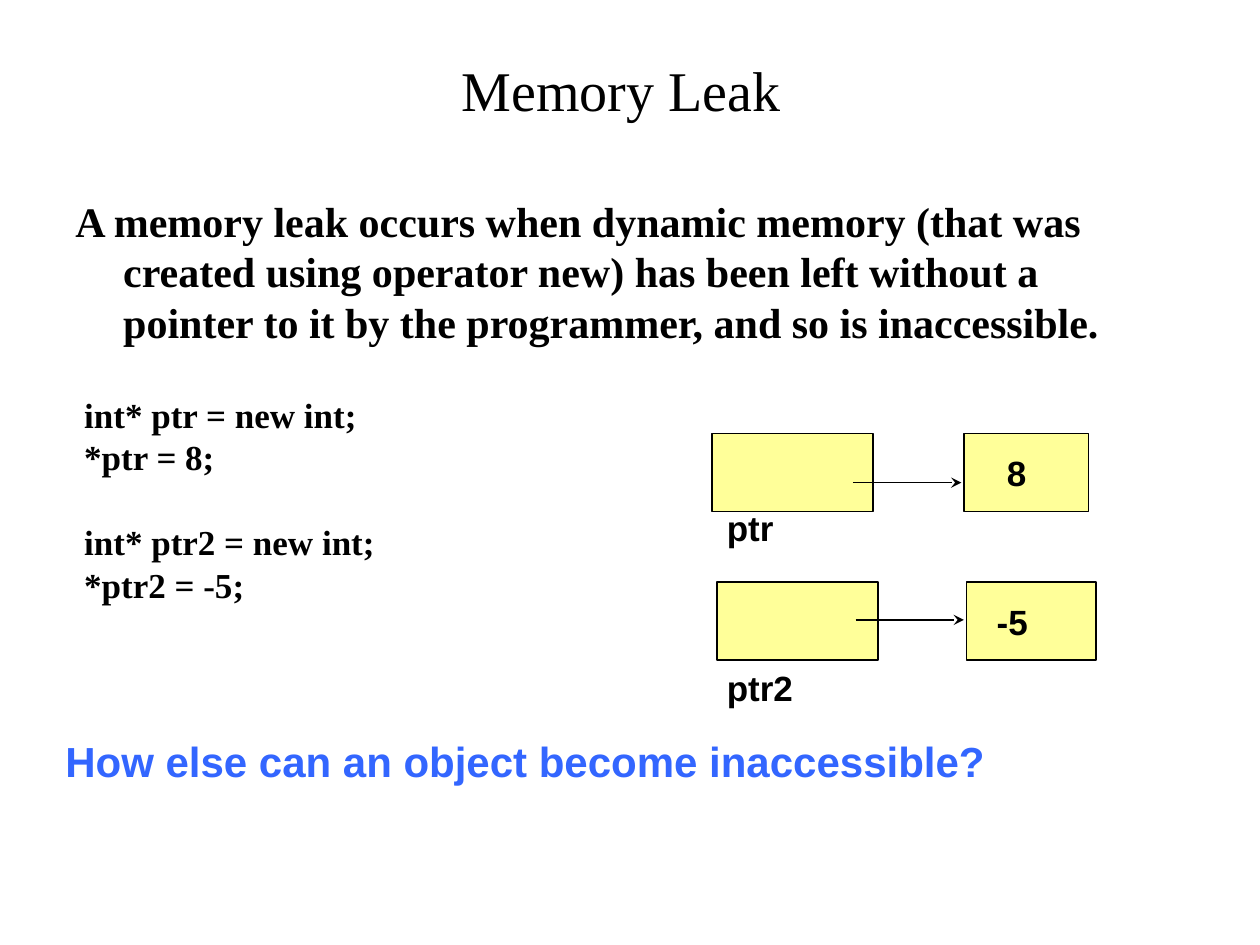
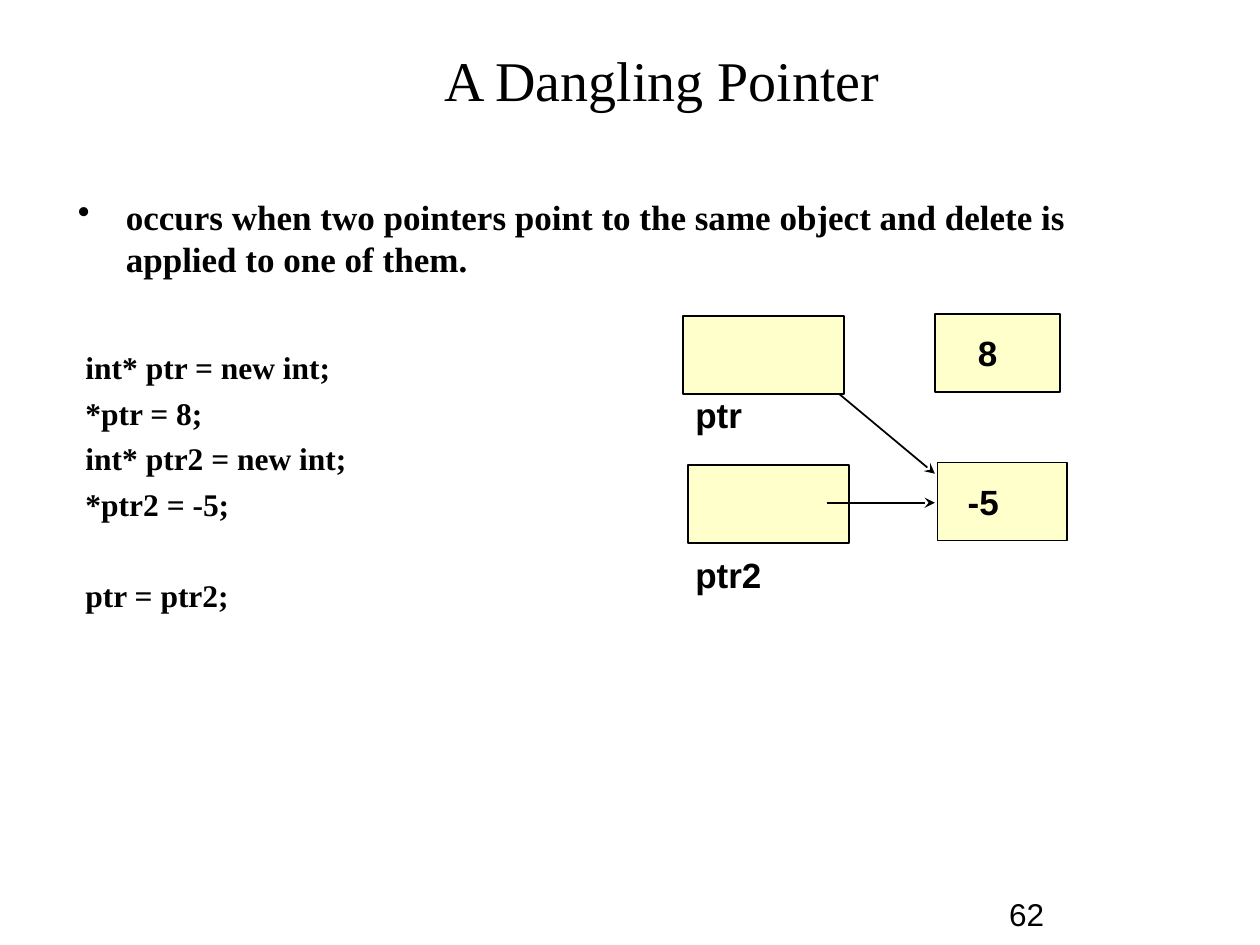
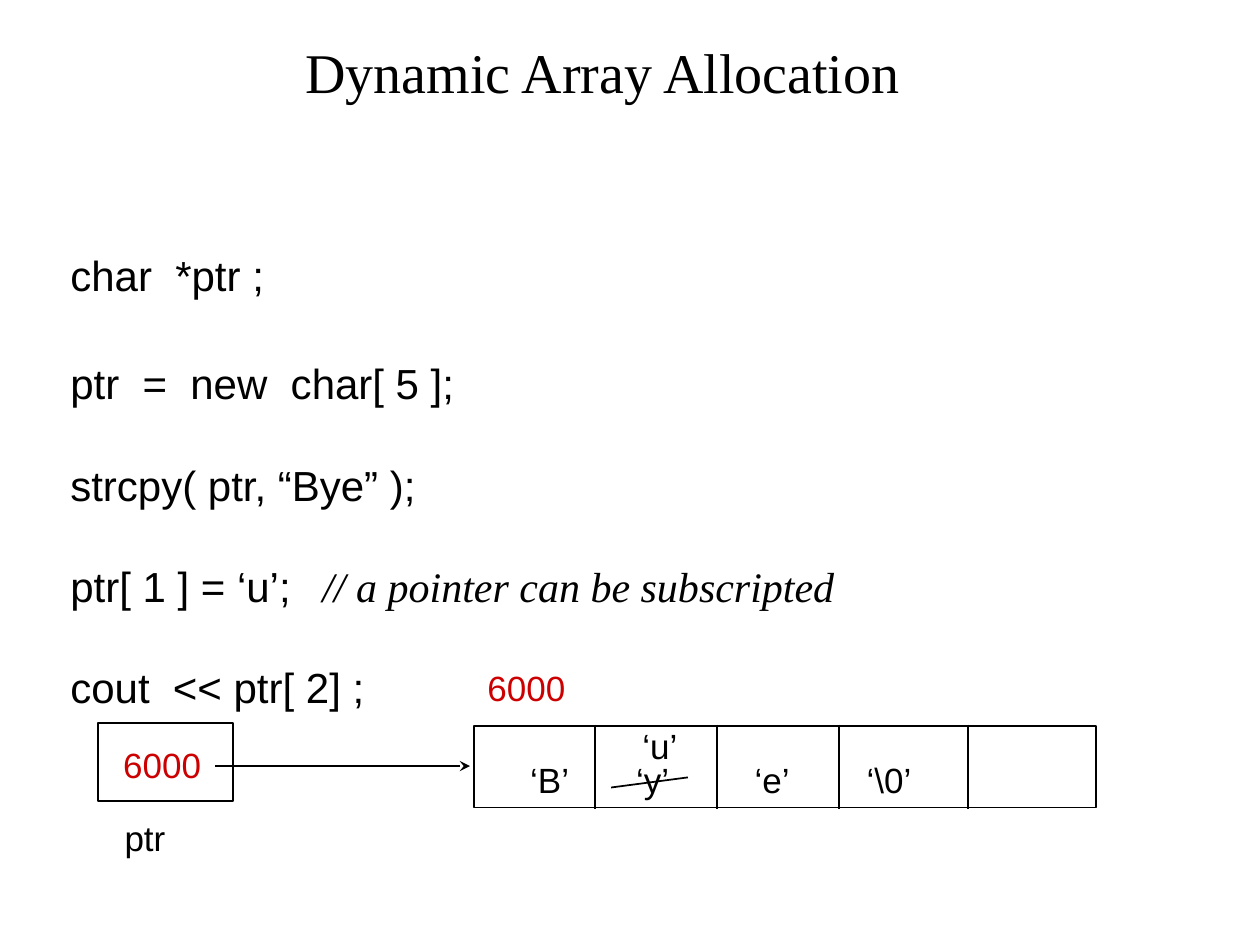
from typing import NamedTuple

from lxml.etree import SubElement as Sub
from pptx import Presentation
from pptx.dml.color import RGBColor as Rgb
from pptx.enum.shapes import MSO_CONNECTOR as Wire, MSO_SHAPE as Kind
from pptx.enum.text import MSO_ANCHOR as Anchor, PP_ALIGN as Align
from pptx.oxml.ns import qn
from pptx.util import Inches, Pt

WIDE, HIGH = Inches(10), Inches(7.5)
COL, ROW = WIDE / 100, HIGH / 75
HANG = Inches(0.38)
COLORS = {"ink": "000000", "ask": "3366FF", "addr": "CC0000",
          "gold": "FFFF99", "pale": "FFFFCC"}
SERIF, SANS = "Times New Roman", "Arial"


class Area(NamedTuple):
    """A place on the slide, in columns and rows."""
    x: float
    y: float
    w: float
    h: float


class Style(NamedTuple):
    size: float
    face: str = SANS
    bold: bool = False
    color: str = "ink"


class Para(NamedTuple):
    text: str
    style: Style
    gap: float = 0
    lead: float = 1
    left: int = 0
    first: int = 0
    mark: str = ""
    tab: int = 0
    note: str = ""


class Label(NamedTuple):
    text: str
    x: float
    y: float
    color: str = "ink"


class Plan(NamedTuple):
    """Places of the two pointers, their names and their targets."""
    x: float
    y: float
    lift: float
    name_x: float
    name_y: float
    fill: str


TITLE = Style(32, SERIF)
NAME = Style(20, bold=True)
PLAIN = Style(20)
CODE = Style(24)


def rgb(key: str) -> Rgb:
    return Rgb.from_string(COLORS[key])


def place(area: Area) -> tuple:
    return (round(area.x * COL), round(area.y * ROW),
            round(area.w * COL), round(area.h * ROW))


def dress(font, style: Style) -> None:
    font.size, font.name, font.bold = Pt(style.size), style.face, style.bold
    font.color.rgb = rgb(style.color)


def fill_para(para, item: Para) -> None:
    para.text = item.text
    props = para._p.get_or_add_pPr()
    props.set("marL", str(item.left))
    props.set("indent", str(item.first))
    if item.mark:
        Sub(props, qn("a:buChar"), char=item.mark)
    if item.tab:
        Sub(Sub(props, qn("a:tabLst")), qn("a:tab"), pos=str(item.tab), algn="l")
    if item.gap:
        para.space_before = Pt(item.gap)
    if item.lead != 1:
        para.line_spacing = item.lead
    dress(para.font, item.style)
    if item.note:
        run = para.add_run()
        run.text = item.note
        run.font.name, run.font.italic = SERIF, True


def write(slide, area: Area, *items: Para, align=Align.LEFT, anchor=Anchor.TOP) -> None:
    frame = slide.shapes.add_textbox(*place(area)).text_frame
    frame.word_wrap, frame.vertical_anchor = True, anchor
    for num, item in enumerate(items):
        para = frame.add_paragraph() if num else frame.paragraphs[0]
        para.alignment = align
        fill_para(para, item)


def head(slide, text: str, area: Area) -> None:
    write(slide, area, Para(text, TITLE), align=Align.CENTER, anchor=Anchor.MIDDLE)


def tag(slide, label: Label, style: Style = PLAIN) -> None:
    write(slide, Area(label.x, label.y, 12, 4.3),
          Para(label.text, style._replace(color=label.color)))


def box(slide, area: Area, fill: str = "", text: str = "", inset: float = 1) -> None:
    shape = slide.shapes.add_shape(Kind.RECTANGLE, *place(area))
    shape.shadow.inherit = False
    if fill:
        shape.fill.solid()
        shape.fill.fore_color.rgb = rgb(fill)
    else:
        shape.fill.background()
    shape.line.color.rgb, shape.line.width = rgb("ink"), Pt(1)
    if text:
        frame = shape.text_frame
        frame.margin_left = round(inset * COL)
        frame.vertical_anchor = Anchor.MIDDLE
        frame.paragraphs[0].alignment = Align.LEFT
        fill_para(frame.paragraphs[0], Para(text, NAME))


def line(slide, x: float, y: float, to_x: float, to_y: float, arrow: bool = False) -> None:
    wire = slide.shapes.add_connector(
        Wire.STRAIGHT, round(x * COL), round(y * ROW), round(to_x * COL), round(to_y * ROW))
    wire.line.color.rgb, wire.line.width = rgb("ink"), Pt(1)
    if arrow:
        Sub(wire.line._get_or_add_ln(), qn("a:tailEnd"), type="stealth")
    Sub(wire._element.spPr, qn("a:effectLst"))


def draw_heap(slide, plan: Plan) -> None:
    """Draw two named pointer boxes and the values beside them."""
    rows = (("ptr", "8", 0, 0, 9.9, 3.4), ("ptr2", "-5", 0.4, 0.2, 10.3, 2.4))
    for num, (name, value, shift, push, width, inset) in enumerate(rows):
        top = plan.y + 11.8 * num
        box(slide, Area(plan.x + shift, top, 12.8, 6.2), plan.fill)
        box(slide, Area(plan.x + 20 + push, top - plan.lift, width, 6.2),
            plan.fill, value, inset)
        tag(slide, Label(name, plan.name_x, plan.name_y + 12.7 * num), NAME)


def code(lines: tuple, style: Style, lead: float = 1, left: int = 0) -> list:
    return [Para(text, style, gap, lead, left) for text, gap in lines]


def show_leak(slide) -> None:
    head(slide, "Memory Leak", Area(14.2, 3.3, 70.2, 7.5))
    lines = (("int* ptr = new int;", 31.6), ("*ptr = 8;", 5),
             ("int* ptr2 = new int;", 29.2), ("*ptr2 = -5;", 5))
    write(slide, Area(5, 15, 83.3, 42.5),
          Para("A memory leak occurs when dynamic memory (that was created using "
               "operator new) has been left without a pointer to it by the "
               "programmer, and so is inaccessible.",
               Style(24, SERIF, True), left=HANG, first=-HANG),
          *code(lines, Style(20, SERIF, True), 0.8, Inches(0.07)))
    draw_heap(slide, Plan(56.5, 34.4, 0, 56.7, 39.7, "gold"))
    line(slide, 67.7, 38.3, 76.3, 38.3, arrow=True)
    line(slide, 67.9, 49.2, 76.5, 49.2, arrow=True)
    write(slide, Area(4.2, 58.3, 87.5, 4.6),
          Para("How else can an object become inaccessible?",
               Style(24, bold=True, color="ask"), lead=0.9))


def show_dangle(slide) -> None:
    head(slide, "A Dangling Pointer", Area(15.8, 1.7, 73.5, 9.2))
    lines = (("int* ptr = new int;", 39.3), ("*ptr = 8;", 4.5),
             ("int* ptr2 = new int;", 4.5), ("*ptr2 = -5;", 4.5),
             ("ptr = ptr2;", 30.6))
    write(slide, Area(5.2, 15, 89.8, 49.4),
          Para("occurs when two pointers point to the same object and delete is "
               "applied to one of them.",
               Style(20, SERIF, True), left=HANG, first=-HANG, mark="•"),
          *code(lines, Style(18, SERIF, True), left=Inches(0.06)))
    line(slide, 65.2, 30.1, 74.2, 37.6, arrow=True)
    draw_heap(slide, Plan(54.2, 25.1, 0.2, 54.2, 30.7, "pale"))
    line(slide, 65.6, 39.9, 74.2, 39.9, arrow=True)
    write(slide, Area(79.1, 70, 20.8, 5), Para("62", Style(18)), anchor=Anchor.MIDDLE)


def show_array(slide) -> None:
    head(slide, "Dynamic Array Allocation", Area(14.4, 2.5, 66.9, 6.3))
    lines = (("char  *ptr ;", 0), ("ptr  =  new  char[ 5 ];", 33),
             ("strcpy( ptr, “Bye” );", 29.6))
    write(slide, Area(4.6, 19.3, 84.3, 41.7), *code(lines, CODE),
          Para("ptr[ 1 ] = ‘u’;\t", CODE, 28.8, tab=Inches(3.19),
               note="// a pointer can be subscripted"),
          Para("cout  << ptr[ 2] ;", CODE, 28.8))
    box(slide, Area(37.6, 57.6, 49.4, 6.5))
    for x in (47.2, 56.9, 66.6, 76.8):
        line(slide, x, 57.5, x, 64.2)
    box(slide, Area(7.8, 57.4, 10.7, 6.2))
    line(slide, 17.1, 60.8, 37.3, 60.8, arrow=True)
    labels = (Label("ptr", 8.9, 64.3), Label("6000", 37.7, 52.4, "addr"),
              Label("6000", 8.8, 58.5, "addr"), Label("‘B’", 41.1, 59.7),
              Label("‘y’", 49.5, 59.7), Label("‘e’", 58.9, 59.7),
              Label("‘\\0’", 67.8, 59.7), Label("‘u’", 50, 57))
    for label in labels:
        tag(slide, label)
    line(slide, 48.5, 62.5, 54.6, 61.7)


def main() -> None:
    deck = Presentation()
    deck.slide_width, deck.slide_height = WIDE, HIGH
    for show in (show_leak, show_dangle, show_array):
        show(deck.slides.add_slide(deck.slide_layouts[6]))
    deck.save("out.pptx")


if __name__ == "__main__":
    main()
